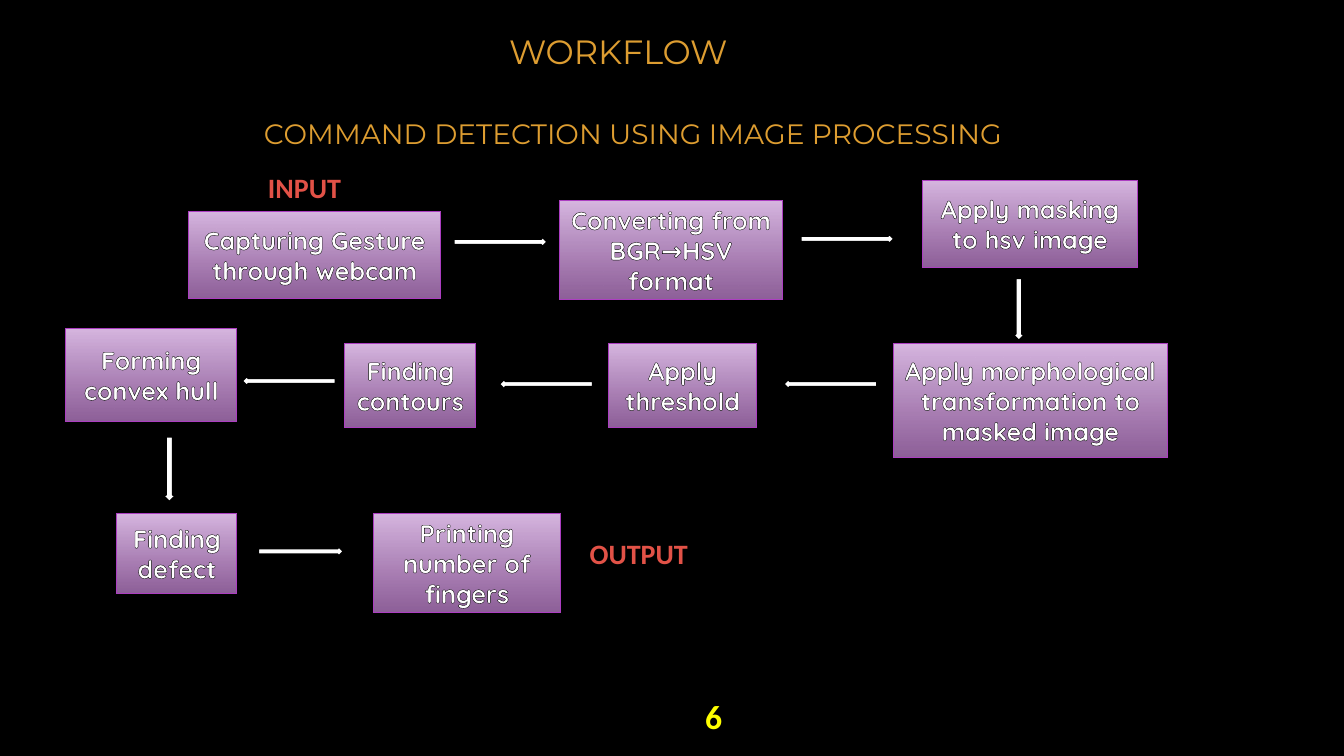
from typing import NamedTuple

from lxml.etree import SubElement
from pptx import Presentation
from pptx.dml.color import RGBColor
from pptx.enum.shapes import MSO_SHAPE
from pptx.enum.text import MSO_ANCHOR, MSO_AUTO_SIZE, PP_ALIGN
from pptx.oxml import parse_xml
from pptx.oxml.ns import nsdecls, qn
from pptx.shapes.autoshape import Shape
from pptx.slide import Slide
from pptx.util import Inches, Pt

BLACK = RGBColor(0x00, 0x00, 0x00)
WHITE = RGBColor(0xFF, 0xFF, 0xFF)
GOLD = RGBColor(0xDD, 0x9D, 0x31)
RED = RGBColor(0xE2, 0x52, 0x47)
YELLOW = RGBColor(0xFF, 0xFF, 0x00)
LILAC = RGBColor(0xD8, 0xB7, 0xE1)
PURPLE = RGBColor(0xBF, 0x82, 0xCE)
MAGENTA = RGBColor(0xAC, 0x3E, 0xC1)

RIGHT, LEFT, DOWN = MSO_SHAPE.RIGHT_ARROW, MSO_SHAPE.LEFT_ARROW, MSO_SHAPE.DOWN_ARROW


class Area(NamedTuple):
    left: float
    top: float
    width: float
    height: float


class Step(NamedTuple):
    text: str
    area: Area


class Arrow(NamedTuple):
    kind: MSO_SHAPE
    area: Area


class Label(NamedTuple):
    text: str
    area: Area
    font: str
    size: int
    color: RGBColor
    bold: bool = False


STEPS = [
    Step("Capturing Gesture through webcam", Area(1.87, 2.1, 2.5, 0.86)),
    Step("Converting from BGR→HSV format", Area(5.55, 1.99, 2.21, 0.98)),
    Step("Apply masking to hsv image", Area(9.15, 1.79, 2.13, 0.86)),
    Step("Apply morphological transformation to masked image", Area(8.86, 3.41, 2.72, 1.13)),
    Step("Apply threshold", Area(6.04, 3.41, 1.46, 0.83)),
    Step("Finding contours", Area(3.42, 3.41, 1.3, 0.83)),
    Step("Forming convex hull", Area(0.65, 3.26, 1.7, 0.92)),
    Step("Finding defect", Area(1.16, 5.09, 1.19, 0.8)),
    Step("Printing number of fingers", Area(3.7, 5.09, 1.86, 0.99)),
]

ARROWS = [
    Arrow(RIGHT, Area(4.5, 2.34, 0.93, 0.12)),
    Arrow(RIGHT, Area(7.94, 2.31, 0.93, 0.12)),
    Arrow(DOWN, Area(10.04, 2.76, 0.13, 0.62)),
    Arrow(LEFT, Area(7.77, 3.75, 0.93, 0.12)),
    Arrow(LEFT, Area(4.95, 3.75, 0.93, 0.12)),
    Arrow(LEFT, Area(2.4, 3.72, 0.93, 0.12)),
    Arrow(DOWN, Area(1.61, 4.33, 0.14, 0.65)),
    Arrow(RIGHT, Area(2.56, 5.41, 0.85, 0.12)),
]

LABELS = [
    Label("WORKFLOW", Area(4.95, 0.26, 2.41, 0.5), "Montserrat", 24, GOLD),
    Label("COMMAND DETECTION USING IMAGE PROCESSING", Area(2.52, 1.11, 8.13, 0.44),
          "Montserrat", 20, GOLD),
    Label("INPUT", Area(2.56, 1.64, 0.93, 0.44), "Calibri", 20, RED, True),
    Label("OUTPUT", Area(5.75, 5.27, 1.24, 0.44), "Calibri", 20, RED, True),
]


def inches(area: Area) -> list[Inches]:
    return [Inches(length) for length in area]


def write_text(shape: Shape, text: str, *, font: str, size: int, color: RGBColor,
               bold: bool = False, align: PP_ALIGN = PP_ALIGN.LEFT,
               anchor: MSO_ANCHOR = MSO_ANCHOR.TOP, wrap: bool = True,
               outlined: bool = False) -> None:
    frame = shape.text_frame
    frame.word_wrap = wrap
    frame.vertical_anchor = anchor
    if not wrap:
        frame.auto_size = MSO_AUTO_SIZE.SHAPE_TO_FIT_TEXT
    paragraph = frame.paragraphs[0]
    paragraph.alignment = align
    run = paragraph.add_run()
    run.text = text
    run.font.name = font
    run.font.size = Pt(size)
    run.font.bold = bold
    run.font.color.rgb = color
    if outlined:
        outline = parse_xml(f'<a:ln {nsdecls("a")} w="{Pt(0.75)}"><a:solidFill>'
                            f'<a:srgbClr val="{BLACK}"/></a:solidFill></a:ln>')
        run.font._element.insert(0, outline)


def add_label(slide: Slide, label: Label) -> None:
    box = slide.shapes.add_textbox(*inches(label.area))
    write_text(box, label.text, font=label.font, size=label.size, color=label.color,
               bold=label.bold, wrap=False)


def add_step(slide: Slide, step: Step) -> None:
    shape = slide.shapes.add_shape(MSO_SHAPE.RECTANGLE, *inches(step.area))
    shape.shadow.inherit = False
    # Vertical gradient, partly transparent at the bottom
    shape.fill.gradient()
    shape.fill.gradient_angle = 270
    for stop, color in zip(shape.fill.gradient_stops, (LILAC, PURPLE)):
        stop.color.rgb = color
    bottom_color = list(shape.element.spPr.iter(qn("a:srgbClr")))[-1]
    SubElement(bottom_color, qn("a:alpha"), val="74000")
    shape.line.color.rgb = MAGENTA
    shape.line.width = Pt(0.75)
    write_text(shape, step.text, font="Quicksand", size=18, color=WHITE, bold=True,
               align=PP_ALIGN.CENTER, anchor=MSO_ANCHOR.MIDDLE, outlined=True)


def add_arrow(slide: Slide, arrow: Arrow) -> None:
    shape = slide.shapes.add_shape(arrow.kind, *inches(arrow.area))
    shape.shadow.inherit = False
    shape.fill.solid()
    shape.fill.fore_color.rgb = WHITE
    shape.line.color.rgb = BLACK
    shape.line.width = Pt(1.5)


def main() -> None:
    presentation = Presentation()
    presentation.slide_width = Inches(13.33)
    presentation.slide_height = Inches(7.5)
    slide = presentation.slides.add_slide(presentation.slide_layouts[6])
    slide.background.fill.solid()
    slide.background.fill.fore_color.rgb = BLACK

    # Headings and end labels
    for label in LABELS:
        add_label(slide, label)

    # Flow chart
    for step in STEPS:
        add_step(slide, step)
    for arrow in ARROWS:
        add_arrow(slide, arrow)

    # Slide number
    number = slide.shapes.add_textbox(*inches(Area(6.66, 6.9, 0.6, 0.41)))
    write_text(number, "6", font="Calibri", size=24, color=YELLOW, bold=True,
               align=PP_ALIGN.RIGHT, anchor=MSO_ANCHOR.MIDDLE)

    presentation.save("out.pptx")


if __name__ == "__main__":
    main()
